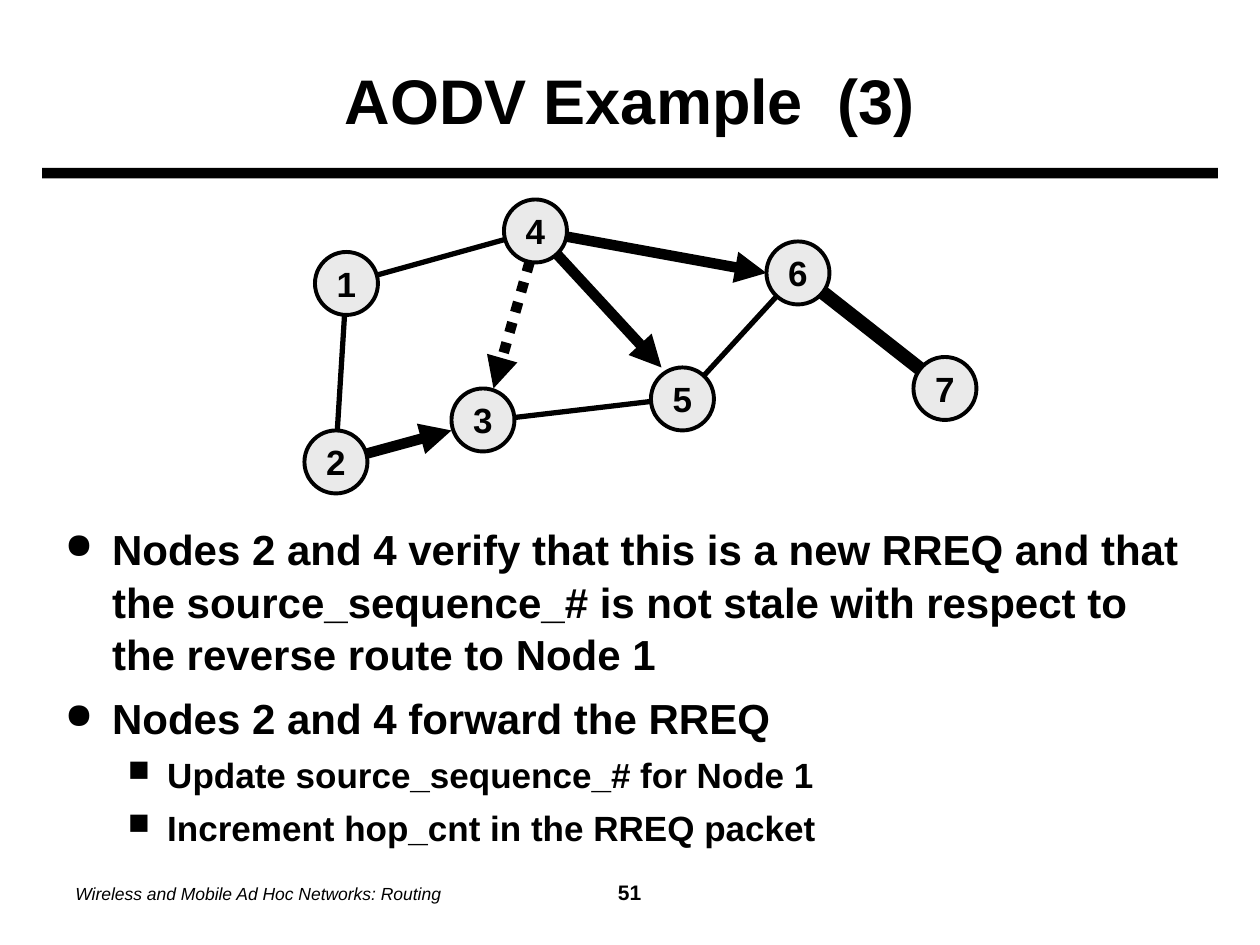
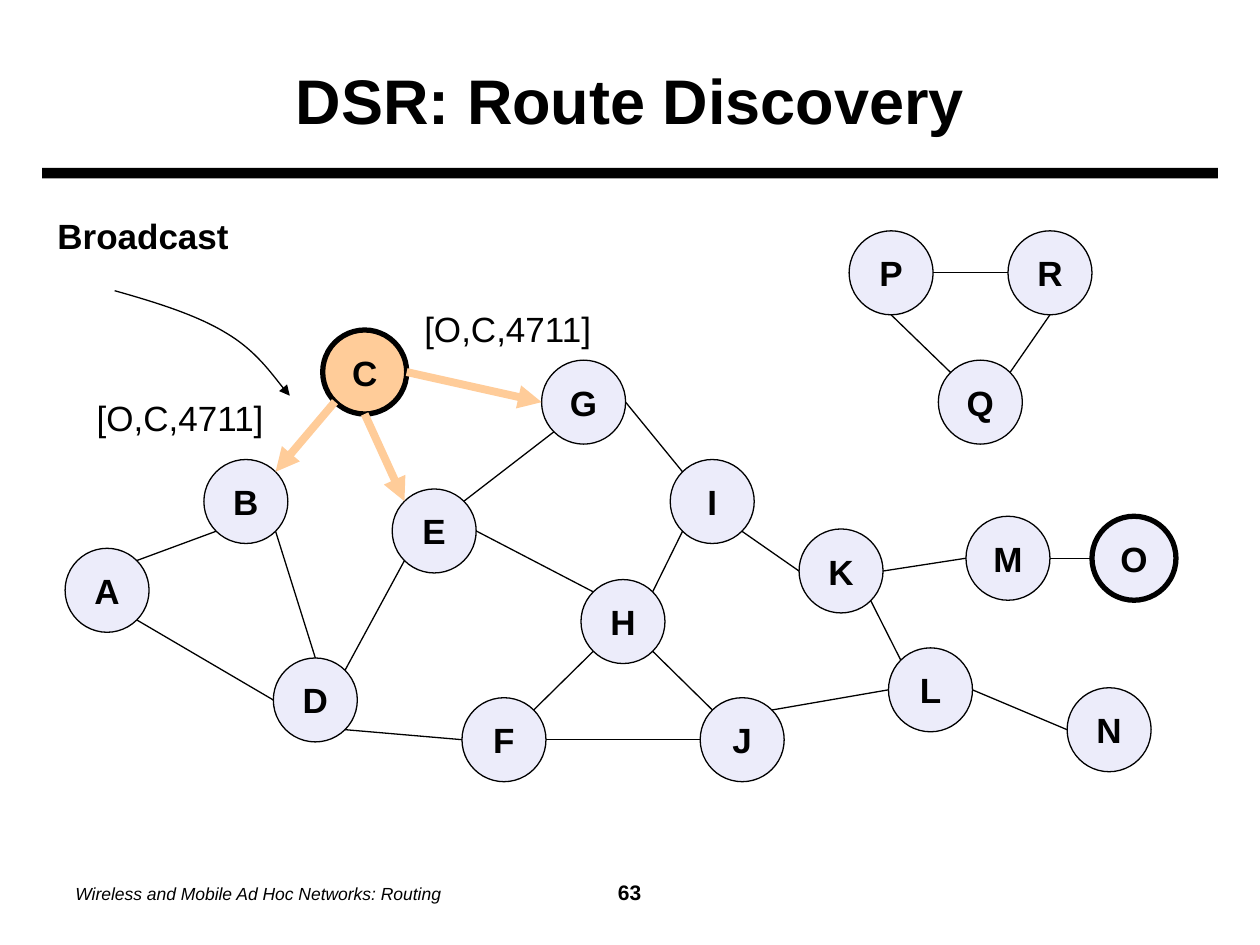
from dataclasses import dataclass
from enum import Enum
from math import sqrt
from typing import NamedTuple

from lxml import etree
from pptx import Presentation
from pptx import util as u
from pptx.dml.color import RGBColor
from pptx.enum import dml, shapes, text
from pptx.oxml.ns import qn

BLACK = RGBColor(0x00, 0x00, 0x00)
GREY = RGBColor(0xEA, 0xEA, 0xEA)
LAVENDER = RGBColor(0xEC, 0xEC, 0xFA)
ORANGE = RGBColor(0xFF, 0xCC, 0x99)
FONT = "Arial"
COURSE = "Wireless and Mobile Ad Hoc Networks: Routing"
TITLE_ONLY = 5
PAGE_NUMBER_TAB = 315
DIAGONAL = sqrt(0.5)


class Point(NamedTuple):
    x: float
    y: float


class Box(NamedTuple):
    left: float
    top: float
    width: float
    height: float

    def lengths(self) -> list[u.Length]:
        return [u.Pt(value) for value in self]


class Side(Enum):
    N = (0, -1)
    NE = (DIAGONAL, -DIAGONAL)
    E = (1, 0)
    SE = (DIAGONAL, DIAGONAL)
    S = (0, 1)
    SW = (-DIAGONAL, DIAGONAL)
    W = (-1, 0)
    NW = (-DIAGONAL, -DIAGONAL)


@dataclass(frozen=True)
class Node:
    label: str
    center: Point
    diameter: float
    fill: RGBColor
    outline: float

    def edge(self, side: Side) -> Point:
        dx, dy = side.value
        radius = self.diameter / 2
        return Point(self.center.x + radius * dx, self.center.y + radius * dy)


@dataclass(frozen=True)
class Link:
    start: Point
    end: Point
    width: float
    color: RGBColor = BLACK
    arrow: bool = False
    dotted: bool = False


class Bullet(NamedTuple):
    wording: str
    level: int = 0


class BulletStyle(NamedTuple):
    mark: str
    size: float
    margin: float
    hanging: float
    space_before: float


BULLET_STYLES = (
    BulletStyle("●", 24, 27, 27, 6),
    BulletStyle("■", 20, 58.5, 22.5, 5),
)

AODV_CENTERS = {
    "1": (198, 162), "4": (306, 132), "3": (276, 240), "5": (390, 228),
    "2": (192, 264), "6": (456, 156), "7": (540, 222),
}
AODV_LINKS = (
    Link(Point(198, 162), Point(192, 258), 3),
    Link(Point(306, 132), Point(378, 210), 6, arrow=True),
    Link(Point(192, 264), Point(258, 246), 6, arrow=True),
    Link(Point(198, 162), Point(306, 132), 3),
    Link(Point(306, 138), Point(282, 222), 6, arrow=True, dotted=True),
    Link(Point(282, 240), Point(384, 228), 3),
    Link(Point(306, 132), Point(438, 156), 6, arrow=True),
    Link(Point(456, 156), Point(540, 222), 8),
    Link(Point(456, 156), Point(390, 228), 3),
)
AODV_BULLETS = (
    Bullet("Nodes 2 and 4 verify that this is a new RREQ and that the "
           "source_sequence_# is not stale with respect to the reverse route to Node 1"),
    Bullet("Nodes 2 and 4 forward the RREQ"),
    Bullet("Update source_sequence_# for Node 1", 1),
    Bullet("Increment hop_cnt in the RREQ packet", 1),
)

DSR_CENTERS = {
    "B": (140.5, 286.6), "A": (61.2, 337.3), "C": (208.4, 212.6),
    "G": (333.5, 229.8), "I": (407, 286.6), "D": (180.2, 400),
    "K": (480.6, 326.3), "L": (531.7, 394.2), "E": (248.1, 303.4),
    "H": (356, 355.2), "F": (288, 422.7), "J": (424.1, 422.7),
    "Q": (560.2, 229.8), "P": (509.2, 155.9), "M": (576, 319),
    "N": (633.8, 417), "O": (648, 319), "R": (600, 155.9),
}
DSR_BROADCASTS = ("C.SW B.NE", "C.S E.NW", "C.E G.W")
DSR_NEIGHBOURS = (
    "A.NE B.SW", "A.SE D.W", "B.SE D.N", "G.SW E.NE", "H.NW E.E",
    "E.SW D.NE", "F.W D.SE", "H.SW F.NE", "I.NW G.E", "I.SW H.NE",
    "J.NW H.SE", "K.W I.SE", "L.W J.NE", "L.NW K.SE", "M.W K.E",
    "N.W L.E", "O.W M.E", "P.S Q.NW", "P.E R.W", "Q.NE R.S", "J.W F.E",
)
BROADCAST_CURVE = (
    Point(65.5, 166.1), Point(89.3, 172.8), Point(112.3, 180), Point(128.9, 190.1),
    Point(146.2, 200.2), Point(159.1, 218.9), Point(165.6, 226.1),
)


def style(font, size: float, bold: bool = False, italic: bool = False) -> None:
    font.name = FONT
    font.size = u.Pt(size)
    font.bold = bold
    font.italic = italic
    font.color.rgb = BLACK


def add_text(slide, box: Box, anchor=text.MSO_ANCHOR.TOP, wrap: bool = True):
    frame = slide.shapes.add_textbox(*box.lengths()).text_frame
    frame.word_wrap = wrap
    frame.vertical_anchor = anchor
    return frame


def add_label(slide, wording: str, box: Box, bold: bool = False) -> None:
    paragraph = add_text(slide, box, wrap=False).paragraphs[0]
    paragraph.text = wording
    style(paragraph.font, 20, bold)


def add_arrowhead(line) -> None:
    etree.SubElement(line._get_or_add_ln(), qn("a:tailEnd"), type="triangle")


def add_footer(slide, number: int) -> None:
    frame = add_text(slide, Box(36, 492, 648, 36), text.MSO_ANCHOR.MIDDLE)
    paragraph = frame.paragraphs[0]
    tabs = etree.SubElement(paragraph._p.get_or_add_pPr(), qn("a:tabLst"))
    etree.SubElement(tabs, qn("a:tab"), pos=str(u.Pt(PAGE_NUMBER_TAB)), algn="ctr")
    course = paragraph.add_run()
    course.text = COURSE
    style(course.font, 10, italic=True)
    page = paragraph.add_run()
    page.text = f"\t {number}"
    style(page.font, 12, bold=True)


def add_page(deck, heading: str, number: int):
    slide = deck.slides.add_slide(deck.slide_layouts[TITLE_ONLY])
    rule = slide.shapes.add_shape(
        shapes.MSO_SHAPE.RECTANGLE, *Box(24, 96, 672, 6).lengths())
    rule.shadow.inherit = False
    rule.fill.solid()
    rule.fill.fore_color.rgb = BLACK
    rule.line.fill.background()
    add_footer(slide, number)

    title = slide.shapes.title
    title.left, title.top, title.width, title.height = Box(36, 18, 648, 78).lengths()
    frame = title.text_frame
    frame.text = heading
    frame.auto_size = text.MSO_AUTO_SIZE.NONE
    frame.vertical_anchor = text.MSO_ANCHOR.MIDDLE
    frame.paragraphs[0].alignment = text.PP_ALIGN.CENTER
    style(frame.paragraphs[0].font, 36, bold=True)
    return slide


def add_node(slide, node: Node) -> None:
    radius = node.diameter / 2
    box = Box(node.center.x - radius, node.center.y - radius, node.diameter, node.diameter)
    circle = slide.shapes.add_shape(shapes.MSO_SHAPE.OVAL, *box.lengths())
    circle.shadow.inherit = False
    circle.fill.solid()
    circle.fill.fore_color.rgb = node.fill
    circle.line.color.rgb = BLACK
    circle.line.width = u.Pt(node.outline)
    frame = circle.text_frame
    frame.margin_left = frame.margin_right = 0
    frame.word_wrap = False
    frame.vertical_anchor = text.MSO_ANCHOR.MIDDLE
    paragraph = frame.paragraphs[0]
    paragraph.text = node.label
    paragraph.alignment = text.PP_ALIGN.CENTER
    style(paragraph.font, 20, bold=True)


def add_link(slide, link: Link) -> None:
    ends = [u.Pt(value) for value in (*link.start, *link.end)]
    connector = slide.shapes.add_connector(shapes.MSO_CONNECTOR.STRAIGHT, *ends)
    connector.line.color.rgb = link.color
    connector.line.width = u.Pt(link.width)
    if link.dotted:
        connector.line.dash_style = dml.MSO_LINE.ROUND_DOT
    if link.arrow:
        add_arrowhead(connector.line)
    etree.SubElement(connector._element.spPr, qn("a:effectLst"))


def add_curved_arrow(slide, points: tuple[Point, ...]) -> None:
    start, *controls = [(u.Pt(x), u.Pt(y)) for x, y in points]
    builder = slide.shapes.build_freeform(*start)
    builder.add_line_segments(controls, close=False)
    arrow = builder.convert_to_shape()
    segments = list(arrow._element.iter(qn("a:lnTo")))
    for first in range(0, len(segments), 3):
        curve = etree.SubElement(segments[first].getparent(), qn("a:cubicBezTo"))
        for segment in segments[first:first + 3]:
            curve.append(segment[0])
            segment.getparent().remove(segment)
    arrow.shadow.inherit = False
    arrow.fill.background()
    arrow.line.color.rgb = BLACK
    arrow.line.width = u.Pt(0.75)
    add_arrowhead(arrow.line)


def add_bullets(slide, bullets: tuple[Bullet, ...], box: Box) -> None:
    frame = add_text(slide, box)
    for index, bullet in enumerate(bullets):
        look = BULLET_STYLES[bullet.level]
        paragraph = frame.add_paragraph() if index else frame.paragraphs[0]
        paragraph.text = bullet.wording
        paragraph.level = bullet.level
        properties = paragraph._p.get_or_add_pPr()
        properties.set("marL", str(u.Pt(look.margin)))
        properties.set("indent", str(-u.Pt(look.hanging)))
        etree.SubElement(properties, qn("a:buSzPct"), val="85000")
        etree.SubElement(properties, qn("a:buChar"), char=look.mark)
        paragraph.line_spacing = 1.05
        if index:
            paragraph.space_before = u.Pt(look.space_before)
        style(paragraph.font, look.size, bold=True)


def build_aodv(deck) -> None:
    slide = add_page(deck, "AODV Example  (3)", 51)
    add_bullets(slide, AODV_BULLETS, Box(30, 294, 654, 192))
    for link in AODV_LINKS:
        add_link(slide, link)
    for label, center in AODV_CENTERS.items():
        add_node(slide, Node(label, Point(*center), 36, GREY, 2.25))


def build_dsr(deck) -> None:
    slide = add_page(deck, "DSR: Route Discovery", 63)
    add_label(slide, "Broadcast", Box(25.7, 118.8, 112.3, 31.7), bold=True)
    add_curved_arrow(slide, BROADCAST_CURVE)
    nodes = {
        label: Node(label, Point(*center), 48, ORANGE if label == "C" else LAVENDER,
                    3 if label in "CO" else 0.75)
        for label, center in DSR_CENTERS.items()
    }
    for node in nodes.values():
        add_node(slide, node)

    def edges(route: str) -> list[Point]:
        ends = (end.split(".") for end in route.split())
        return [nodes[label].edge(Side[side]) for label, side in ends]

    for route in DSR_BROADCASTS:
        add_link(slide, Link(*edges(route), 4.5, ORANGE, arrow=True))
    for route in DSR_NEIGHBOURS:
        add_link(slide, Link(*edges(route), 0.75))
    for left, top in ((235.4, 172.1), (48.2, 223.2)):
        add_label(slide, "[O,C,4711]", Box(left, top, 110.9, 31.7))


def main() -> None:
    deck = Presentation()
    deck.slide_width, deck.slide_height = u.Pt(720), u.Pt(540)
    build_aodv(deck)
    build_dsr(deck)
    deck.save("out.pptx")


if __name__ == "__main__":
    main()
